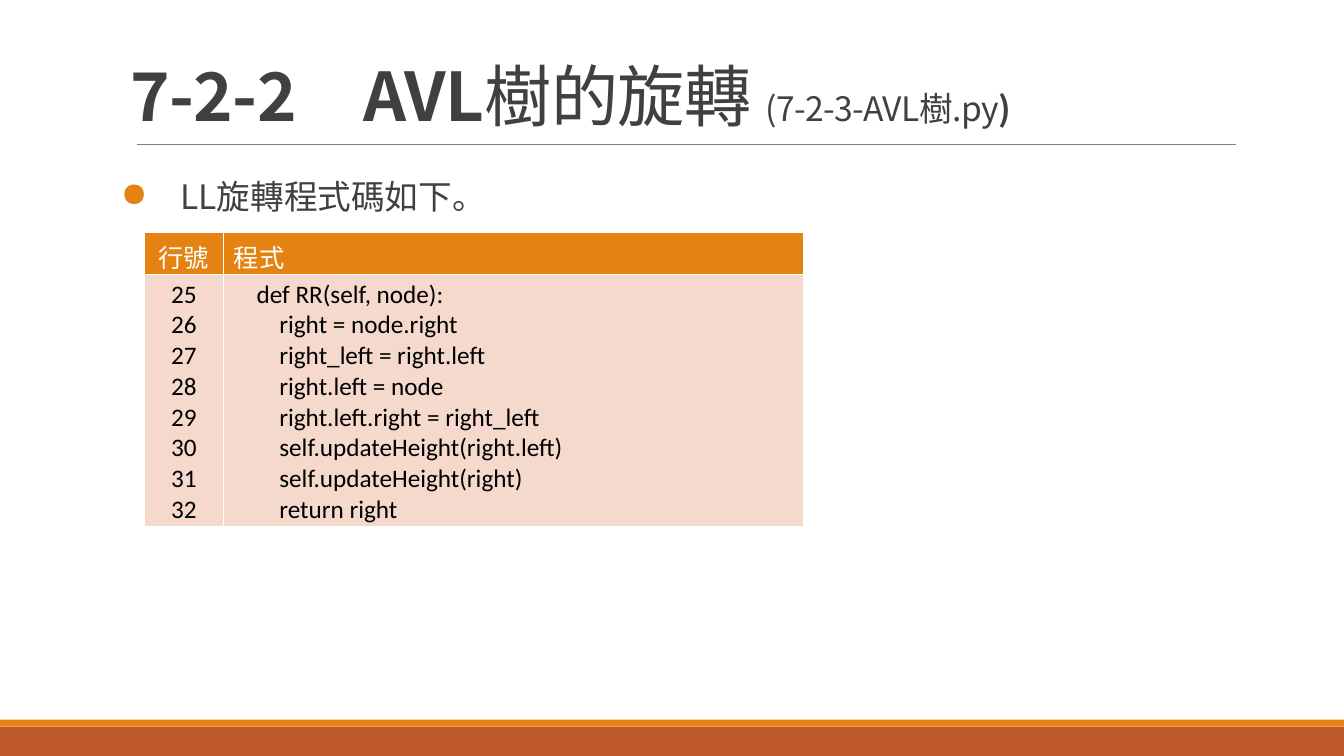
"""Build the slide on AVL tree rotation with its code table."""
import pptx
import pptx.dml.color
import pptx.enum.shapes
import pptx.enum.text
import pptx.oxml.ns
import pptx.util
from lxml import etree

PX = 9144
CJK = "Noto Sans CJK SC"
ORANGE, RUST, PINK = "E48312", "BD582C", "F5D9CC"
DARK, GRAY, WHITE, BLACK = "404040", "808080", "FFFFFF", "000000"
qn = pptx.oxml.ns.qn
align = pptx.enum.text.PP_ALIGN


def color(hex_string):
    return pptx.dml.color.RGBColor.from_string(hex_string)


def write(para, text, size=18, font="Calibri", fill=BLACK, bold=False, spacing=0):
    span = para.add_run()
    span.text = text
    span.font.size = pptx.util.Pt(size)
    span.font.name = font
    span.font.bold = bold
    span.font.color.rgb = color(fill)
    properties = span.font._element
    etree.SubElement(properties, qn("a:ea"), typeface=CJK)
    if spacing:
        properties.set("spc", str(spacing))


deck = pptx.Presentation()
deck.slide_width = 1333 * PX
deck.slide_height = 750 * PX
page = deck.slides.add_slide(deck.slide_layouts[6])

for top, height, fill in [(721, 29, RUST), (714, 7, ORANGE)]:
    band = page.shapes.add_shape(
        pptx.enum.shapes.MSO_SHAPE.RECTANGLE, 0, top * PX, 1333 * PX, height * PX)
    band.shadow.inherit = False
    band.fill.solid()
    band.fill.fore_color.rgb = color(fill)
    band.line.fill.background()

rule = page.shapes.add_connector(
    pptx.enum.shapes.MSO_CONNECTOR.STRAIGHT, 136 * PX, 143 * PX, 1226 * PX, 143 * PX)
rule.line.color.rgb = color(GRAY)
rule.line.width = pptx.util.Pt(0.5)
etree.SubElement(rule._element.spPr, qn("a:effectLst"))

title = page.shapes.add_textbox(120 * PX, 31 * PX, 1100 * PX, 108 * PX).text_frame
title.word_wrap = True
title.vertical_anchor = pptx.enum.text.MSO_ANCHOR.BOTTOM
para = title.paragraphs[0]
para.line_spacing = 0.85
for text, size, bold in [
    ("7-2-2\u3000AVL".replace("\u3000", "　"), 48, True),
    ("樹的旋轉 ", 48, False),
    ("(7-2-3-AVL樹.py", 24, False),
    (")", 24, True),
]:
    write(para, text, size=size, font=CJK, fill=DARK, bold=bold, spacing=-50)

body = page.shapes.add_textbox(120 * PX, 150 * PX, 1100 * PX, 539 * PX).text_frame
body.word_wrap = True
body.margin_left = body.margin_right = 0
para = body.paragraphs[0]
para.line_spacing = 1.5
para.space_after = pptx.util.Pt(3)
layout = para._p.get_or_add_pPr()
layout.set("marL", str(59 * PX))
layout.set("indent", str(-59 * PX))
bullet_color = etree.SubElement(layout, qn("a:buClr"))
etree.SubElement(bullet_color, qn("a:srgbClr"), val=ORANGE)
etree.SubElement(layout, qn("a:buChar"), char="●")
write(para, "LL旋轉程式碼如下。", size=24, font=CJK, fill=DARK)

code = """\
    def RR(self, node):
        right = node.right
        right_left = right.left
        right.left = node
        right.left.right = right_left
        self.updateHeight(right.left)
        self.updateHeight(right)
        return right""".split("\n")
numbers = [str(25 + index) for index in range(len(code))]
rows = [([["行號"], ["程式"]], 41, ORANGE, WHITE), ([numbers, code], 250, PINK, BLACK)]

table = page.shapes.add_table(2, 2, 143 * PX, 231 * PX, 654 * PX, 291 * PX).table
for column, width in zip(table.columns, [79, 575]):
    column.width = width * PX
for row, (contents, height, fill, ink) in zip(table.rows, rows):
    row.height = height * PX
    for cell, lines, alignment in zip(row.cells, contents, [align.CENTER, align.LEFT]):
        properties = cell._tc.get_or_add_tcPr()
        for side in ["lnL", "lnR", "lnT", "lnB"]:
            border = etree.SubElement(properties, qn(f"a:{side}"), w="12700")
            paint = etree.SubElement(border, qn("a:solidFill"))
            etree.SubElement(paint, qn("a:srgbClr"), val=WHITE)
        cell.fill.solid()
        cell.fill.fore_color.rgb = color(fill)
        for index, line in enumerate(lines):
            frame = cell.text_frame
            para = frame.add_paragraph() if index else frame.paragraphs[0]
            para.alignment = alignment
            write(para, line, fill=ink)

deck.save("out.pptx")
